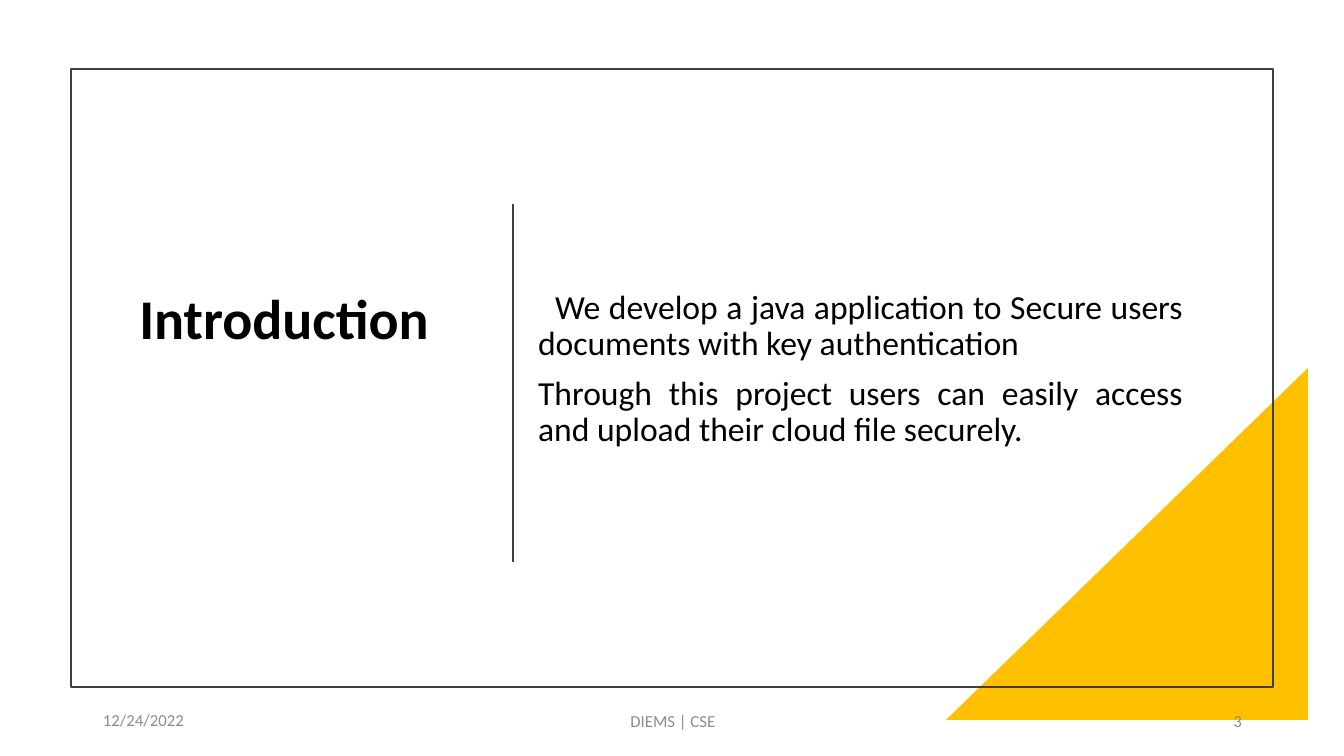
from dataclasses import dataclass
from lxml.etree import SubElement
from pptx import Presentation
from pptx.dml.color import RGBColor
from pptx.enum.shapes import MSO_CONNECTOR as Connector, MSO_SHAPE as Shape
from pptx.enum.text import MSO_ANCHOR as Anchor, MSO_AUTO_SIZE as AutoSize, PP_ALIGN as Align
from pptx.oxml.ns import qn
from pptx.util import Emu, Pt


@dataclass(frozen=True)
class Theme:
    font: str = "Calibri"
    ink: RGBColor = RGBColor(0, 0, 0)
    rule: RGBColor = RGBColor(0x40, 0x40, 0x40)
    accent: RGBColor = RGBColor(0xFF, 0xC0, 0)
    muted: RGBColor = RGBColor(0x8C, 0x8C, 0x8C)
    title_size: int = 40
    body_size: int = 24
    footer_size: int = 12
    rule_width: float = 1.5


THEME = Theme()
PAGE = (1344, 756)
HEADING = "Introduction"
POINTS = [
    ("We develop a java application to Secure users documents with key authentication", 17),
    ("Through this project users can easily access and upload their cloud file securely.", 0),
]
FOOTERS = [
    ("12/24/2022", (93, 701, 806, 37), Align.LEFT),
    ("DIEMS | CSE", (446, 701, 454, 40), Align.CENTER),
    ("3", (950, 701, 302, 40), Align.RIGHT),
]
CORNER_BOX = (946, 368, 362, 352)
FRAME_BOX = (71, 69, 1202, 618)
HEADING_BOX = (119, 131, 330, 381)
DIVIDER_ENDS = (513, 204, 513, 562)
POINTS_BOX = (528, 285, 665, 297)


def px(length):
    return Emu(round(length * 914400 / 100.8))


def scaled(lengths):
    return [px(length) for length in lengths]


def place(part, box):
    part.left, part.top, part.width, part.height = scaled(box)


def style(paragraph, size, color, align, bold=False):
    paragraph.alignment = align
    font = paragraph.font
    font.name, font.size, font.bold = THEME.font, Pt(size), bold
    font.color.rgb = color


def draw_rule(line):
    line.color.rgb = THEME.rule
    line.width = Pt(THEME.rule_width)


def set_frame(frame, anchor):
    frame.word_wrap = True
    frame.auto_size = AutoSize.NONE
    frame.vertical_anchor = anchor


prs = Presentation()
prs.slide_width, prs.slide_height = scaled(PAGE)
slide = prs.slides.add_slide(prs.slide_layouts[1])
shapes = slide.shapes
heading, points = slide.placeholders

corner = shapes.add_shape(Shape.RIGHT_TRIANGLE, *scaled(CORNER_BOX))
corner.shadow.inherit = False
corner.fill.solid()
corner.fill.fore_color.rgb = THEME.accent
corner.line.fill.background()
corner._element.spPr.xfrm.set("flipH", "1")

border = shapes.add_shape(Shape.RECTANGLE, *scaled(FRAME_BOX))
border.shadow.inherit = False
border.fill.background()
draw_rule(border.line)

divider = shapes.add_connector(Connector.STRAIGHT, *scaled(DIVIDER_ENDS))
draw_rule(divider.line)
SubElement(divider._element.spPr, qn("a:effectLst"))

place(heading, HEADING_BOX)
set_frame(heading.text_frame, Anchor.MIDDLE)
heading.text_frame.text = HEADING
heading_line = heading.text_frame.paragraphs[0]
style(heading_line, THEME.title_size, THEME.ink, Align.CENTER, bold=True)
heading_line.line_spacing = 0.9

for text, box, align in FOOTERS:
    footer = shapes.add_textbox(*scaled(box)).text_frame
    set_frame(footer, Anchor.MIDDLE)
    footer.text = text
    style(footer.paragraphs[0], THEME.footer_size, THEME.muted, align)

place(points, POINTS_BOX)
set_frame(points.text_frame, Anchor.TOP)
points.text_frame.text = "\n".join(text for text, _ in POINTS)
for paragraph, (_, indent) in zip(points.text_frame.paragraphs, POINTS):
    style(paragraph, THEME.body_size, THEME.ink, Align.JUSTIFY)
    paragraph.line_spacing = 0.9
    paragraph.space_before = Pt(10)
    properties = paragraph._p.get_or_add_pPr()
    properties.set("marL", "0")
    properties.set("indent", str(px(indent)))
    bullet = SubElement(properties, qn("a:buNone"))
    properties.find(qn("a:defRPr")).addprevious(bullet)

for part in (heading, points):
    shapes._spTree.append(part._element)

prs.save("out.pptx")
